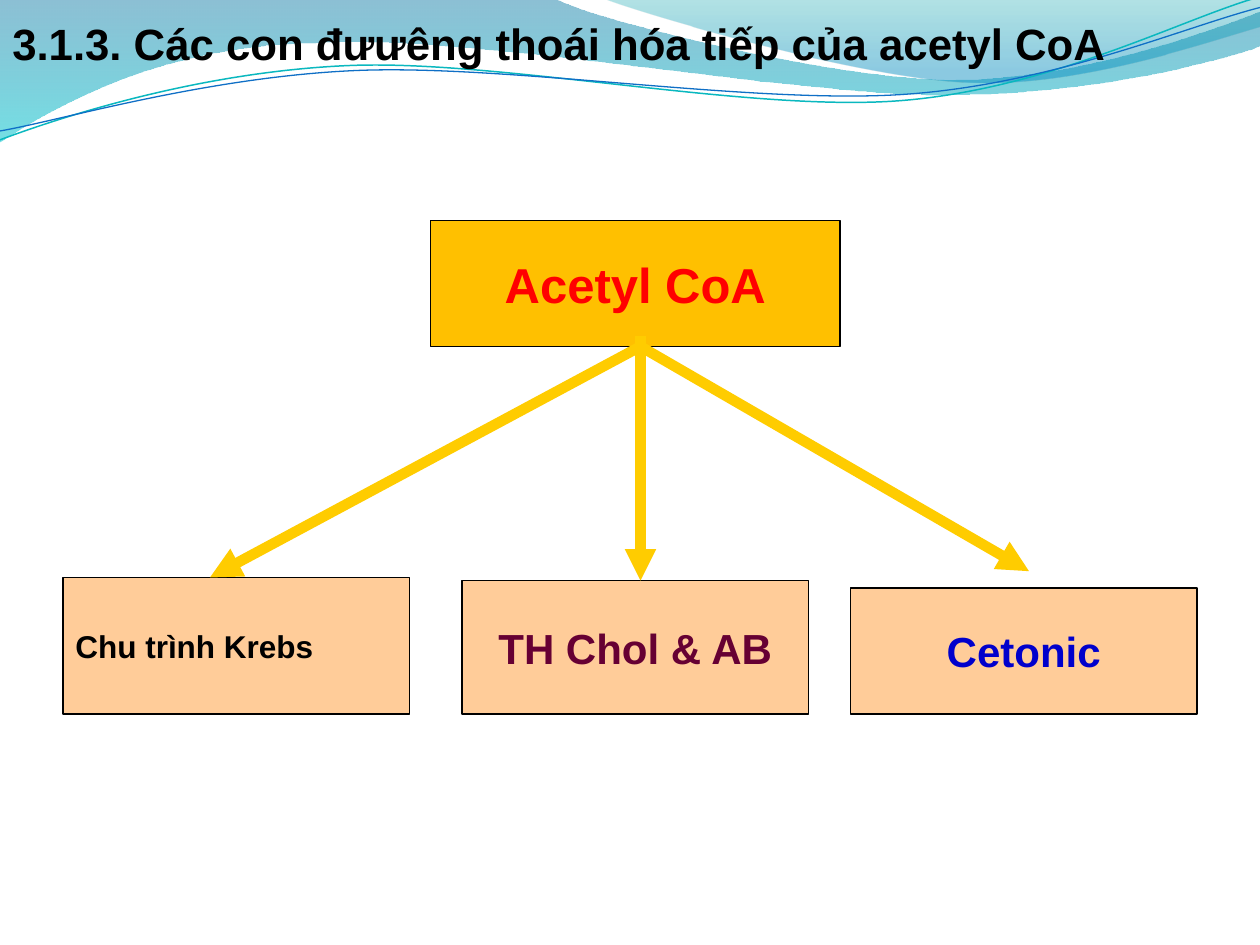
"""Builds a slide on the three further breakdown routes of acetyl CoA."""
import math
from dataclasses import dataclass
from typing import NamedTuple, Optional

from lxml import etree
from pptx import Presentation
from pptx import util as u
from pptx.dml.color import RGBColor
from pptx.enum import shapes, text
from pptx.oxml.ns import qn

WIDTH, HEIGHT = u.Inches(10), u.Inches(7.5)
COLUMN, ROW = WIDTH / 120, HEIGHT / 90
TENTH = WIDTH / 10


@dataclass(frozen=True)
class Theme:
    font: str = "Arial"
    title_size: float = 25
    source_size: float = 28
    route_size: float = 24
    krebs_size: float = 18
    ink: str = "000000"
    source_fill: str = "FFC000"
    source_ink: str = "FF0000"
    route_fill: str = "FFCC99"
    chol_ink: str = "660033"
    cetonic_ink: str = "0000CC"
    arrow: str = "FFCC00"
    border_width: float = 0.75
    arrow_width: float = 6


THEME = Theme()


class Stop(NamedTuple):
    position: float
    color: str
    opacity: int


class Wave(NamedTuple):
    start: tuple
    segments: tuple
    stops: tuple = ()
    line: Optional[str] = None
    width: float = 0
    tilt: float = 0
    pivot: tuple = (0, 0)


class Box(NamedTuple):
    label: str
    column: float
    row: float
    columns: float
    rows: float
    fill: str
    ink: str
    size: float
    align: text.PP_ALIGN = text.PP_ALIGN.CENTER


class Route(NamedTuple):
    box: Box
    tail: tuple
    tip: tuple


WAVES = (
    Wave((0, -0.01),
         ((4.4, -0.01),
          (4.76, 0.17, 6.64, 0.63, 7.58, 0.63), (8.53, 0.63, 9.58, 0.26, 10, 0.09),
          (10.01, 0.36),
          (9.83, 0.44, 8.7, 0.76, 7.46, 0.75), (6.22, 0.75, 3.82, 0.28, 2.57, 0.34),
          (1.29, 0.35, 0.46, 0.83, -0.01, 1.13), (0, -0.01)),
         stops=(Stop(0, "0074A1", 45), Stop(1, "00C6CF", 55))),
    Wave((4.79, -0.01),
         ((5.09, 0.11, 6.82, 0.62, 7.69, 0.65), (8.56, 0.69, 9.61, 0.32, 10, 0.21),
          (10, 0), (4.79, -0.01)),
         stops=(Stop(0, "00A1A9", 30), Stop(0.8, "008BBF", 45))),
    Wave((0, 1.11),
         ((0.48, 0.93, 1.58, 0.57, 2.77, 0.52), (3.95, 0.47, 5.93, 0.89, 7.13, 0.8),
          (8.33, 0.71, 9.38, 0.15, 9.98, -0.02)),
         line="0AB8BF", width=0.85, tilt=-2.7, pivot=(4.99, 0.58)),
    Wave((0, 1.04),
         ((0.47, 0.96, 1.64, 0.61, 2.83, 0.56), (4.03, 0.51, 5.97, 0.83, 7.17, 0.75),
          (8.36, 0.67, 9.41, 0.21, 10, 0.06)),
         line="0F6FC6", width=0.75, tilt=-2.7, pivot=(5, 0.59)),
)

SOURCE = Box("Acetyl CoA", 41, 21, 39, 12, THEME.source_fill, THEME.source_ink, THEME.source_size)
ROUTES = (
    Route(Box("Chu trình Krebs", 6, 55, 33, 13, THEME.route_fill, THEME.ink,
              THEME.krebs_size, text.PP_ALIGN.LEFT), (61, 33), (20, 55)),
    Route(Box("TH Chol & AB", 44, 55.3, 33, 12.7, THEME.route_fill, THEME.chol_ink,
              THEME.route_size), (61, 32), (61, 55.3)),
    Route(Box("Cetonic", 81, 56, 33, 12, THEME.route_fill, THEME.cetonic_ink,
              THEME.route_size), (61, 33), (98, 54.4)),
)


def rgb(value: str) -> RGBColor:
    return RGBColor.from_string(value)


def grid(column: float, row: float) -> tuple:
    return round(column * COLUMN), round(row * ROW)


def write(frame, words: str, *, size: float, color: str, align=text.PP_ALIGN.LEFT,
          anchor=text.MSO_ANCHOR.TOP, wrap: bool = True) -> None:
    frame.word_wrap = wrap
    frame.vertical_anchor = anchor
    paragraph = frame.paragraphs[0]
    paragraph.alignment = align
    run = paragraph.add_run()
    run.text = words
    run.font.name, run.font.size, run.font.bold = THEME.font, u.Pt(size), True
    run.font.color.rgb = rgb(color)


def untilt(x: float, y: float, wave: Wave) -> tuple:
    angle = math.radians(-wave.tilt)
    dx, dy = x - wave.pivot[0], y - wave.pivot[1]
    return (round((wave.pivot[0] + dx * math.cos(angle) - dy * math.sin(angle)) * TENTH),
            round((wave.pivot[1] + dx * math.sin(angle) + dy * math.cos(angle)) * TENTH))


def bend(shape, segments: tuple) -> None:
    steps = iter(list(shape._element.iter(qn("a:lnTo"))))
    for segment in segments:
        first, *others = [next(steps) for _ in range(len(segment) // 2)]
        if others:
            curve = etree.Element(qn("a:cubicBezTo"))
            first.addprevious(curve)
            for step in (first, *others):
                curve.append(step[0])
                step.getparent().remove(step)


def shade(fill, stops: tuple) -> None:
    fill.gradient()
    fill.gradient_angle = 270
    for target, stop in zip(fill.gradient_stops, stops):
        target.position = stop.position
        target.color.rgb = rgb(stop.color)
    for color, stop in zip(fill._xPr.iter(qn("a:srgbClr")), stops):
        etree.SubElement(color, qn("a:alpha"), val=str(stop.opacity * 1000))


def draw_wave(slide, wave: Wave) -> None:
    points = [untilt(*segment[i:i + 2], wave) for segment in (wave.start, *wave.segments)
              for i in range(0, len(segment), 2)]
    builder = slide.shapes.build_freeform(*points[0])
    builder.add_line_segments(points[1:], close=bool(wave.stops))
    shape = builder.convert_to_shape()
    bend(shape, wave.segments)
    shape.rotation = wave.tilt
    shape.shadow.inherit = False
    if wave.stops:
        shade(shape.fill, wave.stops)
        shape.line.fill.background()
    else:
        shape.fill.background()
        shape.line.color.rgb = rgb(wave.line)
        shape.line.width = u.Pt(wave.width)


def draw_box(slide, box: Box) -> None:
    shape = slide.shapes.add_shape(shapes.MSO_SHAPE.RECTANGLE, *grid(box.column, box.row),
                                   *grid(box.columns, box.rows))
    shape.shadow.inherit = False
    shape.fill.solid()
    shape.fill.fore_color.rgb = rgb(box.fill)
    shape.line.color.rgb = rgb(THEME.ink)
    shape.line.width = u.Pt(THEME.border_width)
    write(shape.text_frame, box.label, size=box.size, color=box.ink, align=box.align,
          anchor=text.MSO_ANCHOR.MIDDLE, wrap=False)


def draw_route(slide, route: Route) -> None:
    draw_box(slide, route.box)
    arrow = slide.shapes.add_connector(shapes.MSO_CONNECTOR.STRAIGHT, *grid(*route.tail),
                                       *grid(*route.tip))
    arrow.line.color.rgb = rgb(THEME.arrow)
    arrow.line.width = u.Pt(THEME.arrow_width)
    etree.SubElement(arrow.line._get_or_add_ln(), qn("a:tailEnd"), type="triangle")
    etree.SubElement(arrow._element.spPr, qn("a:effectLst"))


def main() -> None:
    deck = Presentation()
    deck.slide_width, deck.slide_height = WIDTH, HEIGHT
    slide = deck.slides.add_slide(deck.slide_layouts[6])
    for wave in WAVES:
        draw_wave(slide, wave)
    draw_box(slide, SOURCE)
    for route in ROUTES:
        draw_route(slide, route)
    title = slide.shapes.add_textbox(*grid(0, 1), *grid(120, 6.24))
    write(title.text_frame, "3.1.3. Các con đưưêng thoái hóa tiếp của acetyl CoA",
          size=THEME.title_size, color=THEME.ink)
    title.text_frame.auto_size = text.MSO_AUTO_SIZE.SHAPE_TO_FIT_TEXT
    deck.save("out.pptx")


if __name__ == "__main__":
    main()
